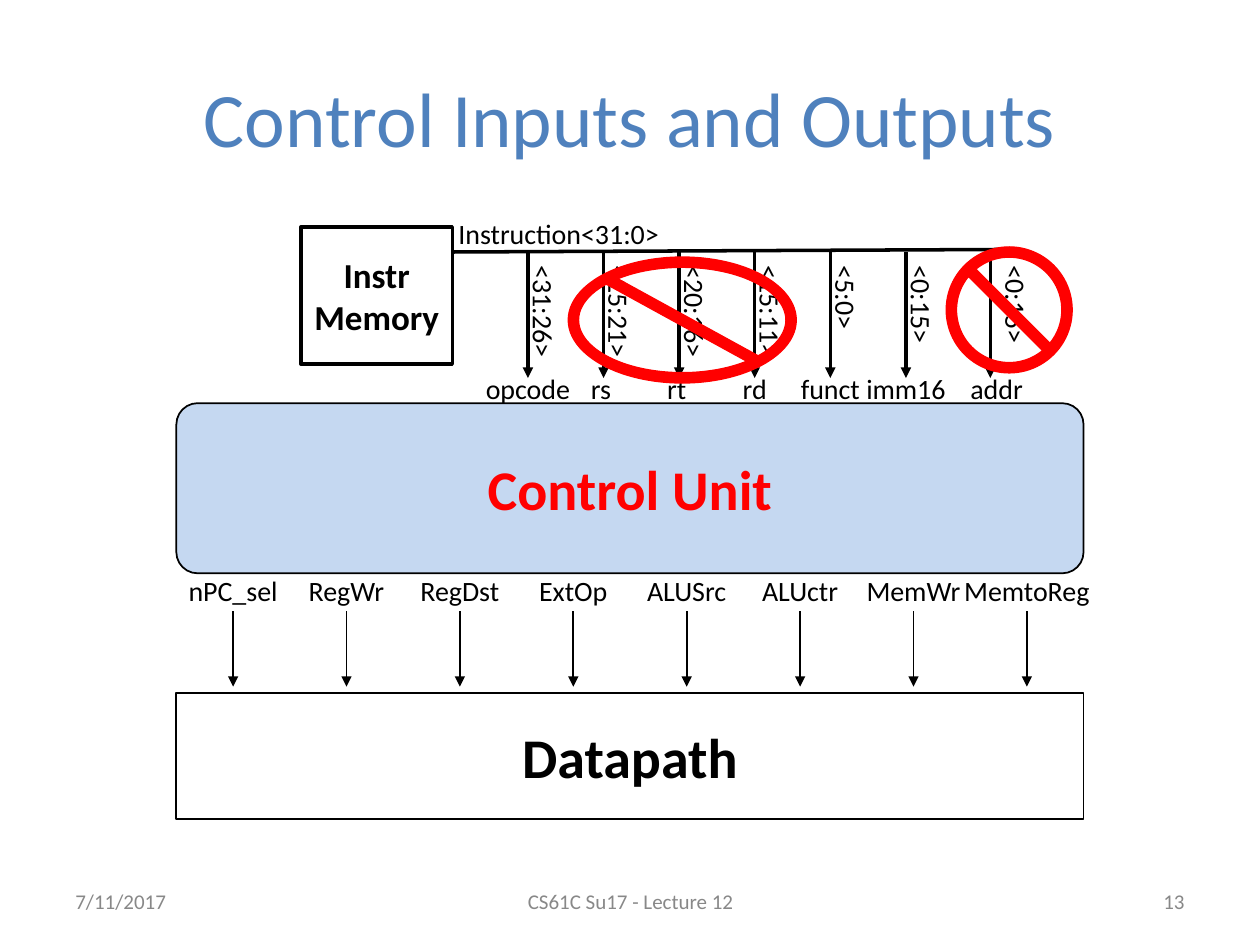
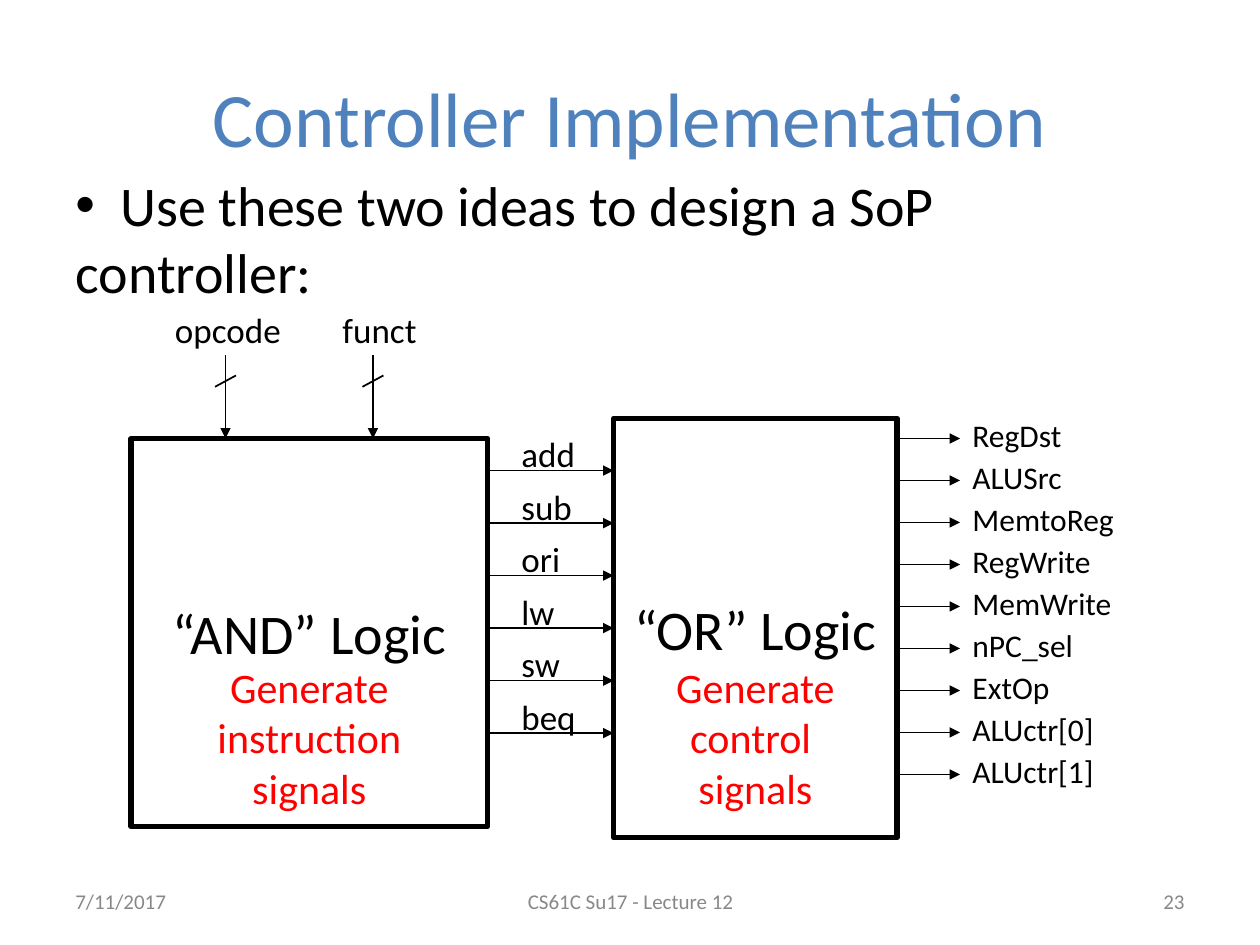
"""Build two slides on the inputs, outputs and logic of a processor's control unit."""
from dataclasses import dataclass
from lxml.etree import SubElement as Sub
from pptx import Presentation
from pptx.dml.color import RGBColor
from pptx.enum.shapes import MSO_CONNECTOR as Link, MSO_SHAPE as Form
from pptx.enum.text import MSO_ANCHOR as Anchor, PP_ALIGN as Align
from pptx.oxml.ns import qn
from pptx.util import Emu, Inches, Pt

WIDE, HIGH = Inches(10), Inches(7.5)
COLS, ROWS = 100, 75
FACE = "Calibri"
BLACK = RGBColor(0x00, 0x00, 0x00)
WHITE = RGBColor(0xFF, 0xFF, 0xFF)
RED = RGBColor(0xFF, 0x00, 0x00)
BLUE = RGBColor(0x4F, 0x81, 0xBD)
PALE = RGBColor(0xC5, 0xD8, 0xF1)
GRAY = RGBColor(0x88, 0x88, 0x88)


@dataclass(frozen=True)
class Box:
    """A frame in columns and rows of the grid."""
    x: float
    y: float
    w: float
    h: float

    @property
    def right(self) -> float:
        return self.x + self.w

    @property
    def frame(self) -> tuple:
        return col(self.x), row(self.y), col(self.w), row(self.h)


@dataclass(frozen=True)
class Field:
    """A slice of the instruction: its wire, its name and its bits."""
    name: str
    bits: str
    wire: float
    mid: float
    wide: float
    turn: float


FIELDS = (
    Field("opcode", "<31:26>", 41.9, 41.9, 8.8, 43.2),
    Field("rs", "<25:21>", 47.9, 47.7, 3.6, 49.2),
    Field("rt", "<20:16>", 53.9, 53.7, 3.5, 55.2),
    Field("rd", "<15:11>", 59.9, 59.9, 4, 61.2),
    Field("funct", "<5:0>", 65.9, 65.9, 7, 67.2),
    Field("imm16", "<0:15>", 71.9, 71.9, 8.4, 73.2),
    Field("addr", "<0:15>", 78.6, 79.1, 8.4, 80.7),
)
OUTPUTS = ("nPC_sel", "RegWr", "RegDst", "ExtOp", "ALUSrc", "ALUctr", "MemWr", "MemtoReg")
CODES = ("add", "sub", "ori", "lw", "sw", "beq")
SIGNALS = ("RegDst", "ALUSrc", "MemtoReg", "RegWrite", "MemWrite",
           "nPC_sel", "ExtOp", "ALUctr[0]", "ALUctr[1]")


def col(n: float) -> Emu:
    return Emu(round(WIDE * n / COLS))


def row(n: float) -> Emu:
    return Emu(round(HIGH * n / ROWS))


def write(shape, text: str, *, size: float, color=BLACK, bold=False,
          align=Align.LEFT, anchor=Anchor.TOP, pad: float = 1) -> None:
    """Fill a shape with text; a vertical tab breaks a line."""
    frame = shape.text_frame
    frame.word_wrap = True
    frame.vertical_anchor = anchor
    frame.margin_left = frame.margin_right = col(pad)
    frame.margin_top = frame.margin_bottom = row(0.5)
    frame.text = text
    for para in frame.paragraphs:
        para.alignment = align
        for run in para.runs:
            font = run.font
            font.name, font.size, font.bold = FACE, Pt(size), bold
            font.color.rgb = color


def label(slide, box: Box, text: str, *, turn: float = 0, **style):
    shape = slide.shapes.add_textbox(*box.frame)
    shape.rotation = turn
    write(shape, text, **style)
    return shape


def block(slide, box: Box, *, form=Form.RECTANGLE, fill=None, edge=BLACK,
          width: float = 1, adj: float | None = None):
    shape = slide.shapes.add_shape(form, *box.frame)
    shape.shadow.inherit = False
    if fill is None:
        shape.fill.background()
    else:
        shape.fill.solid()
        shape.fill.fore_color.rgb = fill
    shape.line.color.rgb = edge
    shape.line.width = Pt(width)
    if adj is not None:
        shape.adjustments[0] = adj
    return shape


def wire(slide, x1: float, y1: float, x2: float, y2: float, *,
         width: float = 1, head: bool = True):
    line = slide.shapes.add_connector(Link.STRAIGHT, col(x1), row(y1), col(x2), row(y2))
    line.line.color.rgb = BLACK
    line.line.width = Pt(width)
    props = line._element.spPr
    if head:
        Sub(props.find(qn("a:ln")), qn("a:tailEnd"), type="triangle")
    Sub(props, qn("a:effectLst"))
    return line


def bullet(shape, gap: float) -> None:
    props = shape.text_frame.paragraphs[0]._p.get_or_add_pPr()
    props.set("marL", "0")
    props.set("indent", "0")
    Sub(Sub(props, qn("a:buClr")), qn("a:srgbClr"), val=str(BLACK))
    Sub(props, qn("a:buFont"), typeface="Arial")
    Sub(props, qn("a:buChar"), char="•")
    Sub(Sub(props, qn("a:tabLst")), qn("a:tab"), pos=str(col(gap)), algn="l")


def start(deck, title: str, page: int):
    """Add a slide with its title and footers."""
    slide = deck.slides.add_slide(deck.slide_layouts[6])
    slide.background.fill.solid()
    slide.background.fill.fore_color.rgb = WHITE
    label(slide, Box(5, 3, 90, 12.5), title, size=44, color=BLUE,
          align=Align.CENTER, anchor=Anchor.MIDDLE)
    for x, w, text, align in (
        (5, 23.3, "7/11/2017", Align.LEFT),
        (34.2, 31.7, "CS61C Su17 - Lecture 12", Align.CENTER),
        (71.7, 23.3, str(page), Align.RIGHT),
    ):
        label(slide, Box(x, 69.5, w, 4), text, size=12, color=GRAY,
              align=align, anchor=Anchor.MIDDLE)
    return slide


def draw_ports(deck) -> None:
    slide = start(deck, "Control Inputs and Outputs", 13)
    mid = dict(align=Align.CENTER, anchor=Anchor.MIDDLE, bold=True)
    unit, path = Box(14, 32, 72, 13.5), Box(14, 55, 72, 10)
    store = Box(23.9, 18, 12, 10.9)
    write(block(slide, unit, form=Form.ROUNDED_RECTANGLE, fill=PALE, adj=0.125),
          "Control Unit", size=32, color=RED, **mid)
    write(block(slide, path), "Datapath", size=32, **mid)
    write(block(slide, store, width=2), "Instr\nMemory", size=20, pad=0.5, **mid)

    step = unit.w / len(OUTPUTS)
    for i, name in enumerate(OUTPUTS):
        x = unit.x + step * (i + 0.5)
        label(slide, Box(x - 6, 45, 12, 3.6), name, size=16, align=Align.CENTER, pad=0)
        wire(slide, x, 48.5, x, 54.5)

    wire(slide, store.right, 20, 79.6, 19.8, width=2, head=False)
    label(slide, Box(35.4, 16.7, 19, 3.6), "Instruction<31:0>", size=16)
    for item in FIELDS:
        wire(slide, item.wire, 20, item.wire, 30, width=2)
        label(slide, Box(item.turn - 5, 23.3, 10, 3.6), item.bits, size=16, turn=90)
        label(slide, Box(item.mid - item.wide / 2, 29, item.wide, 3.7), item.name,
              size=16, align=Align.CENTER, pad=0)
    for box in (Box(75.1, 19.6, 10, 10), Box(45.1, 20.4, 18.1, 10)):
        block(slide, box, form=Form.NO_SYMBOL, fill=RED, edge=RED, width=0.75, adj=0.082)


def draw_logic(deck) -> None:
    slide = start(deck, "Controller Implementation", 23)
    lead = label(slide, Box(5, 13, 90, 10.9),
                 "\tUse these two ideas to design a SoP controller:", size=32)
    bullet(lead, 3.6)

    left, right = Box(10.4, 34.8, 28.3, 30.8), Box(48.7, 33.2, 22.5, 33.3)
    gates = []
    for box, name, job in ((left, "“AND” Logic", "Generate instruction\vsignals"),
                           (right, "“OR” Logic", "Generate control \vsignals")):
        gate = block(slide, box, width=3)
        write(gate, name, size=32, align=Align.CENTER, anchor=Anchor.MIDDLE)
        label(slide, Box(box.x, 52, box.w, 13.1), job, size=24, color=RED,
              align=Align.CENTER)
        gates.append(gate)

    for x, tag, wide, name in ((17.9, 12.9, 10.5, "opcode"), (29.6, 26.2, 8, "funct")):
        label(slide, Box(tag, 24, wide, 4.4), name, size=20)
        wire(slide, x, 28.2, x, left.y)
        wire(slide, x - 0.83, 30.7, x + 0.83, 29.8, head=False)

    for i, name in enumerate(CODES):
        y = 37.35 + 25 / 6 * i
        line = wire(slide, left.right, y, right.x, y)
        if name == "lw":
            line.end_connect(gates[1], 1)
        label(slide, Box(40.4, y - 3.5, 6.4, 4.4), name, size=20)

    for i, name in enumerate(SIGNALS):
        y = left.y + 10 / 3 * i
        wire(slide, right.right, y, 76.2, y)
        label(slide, Box(76.2, y - 2.3, 13.4, 4), name, size=18)


def main() -> None:
    deck = Presentation()
    deck.slide_width, deck.slide_height = WIDE, HIGH
    draw_ports(deck)
    draw_logic(deck)
    deck.save("out.pptx")


if __name__ == "__main__":
    main()
